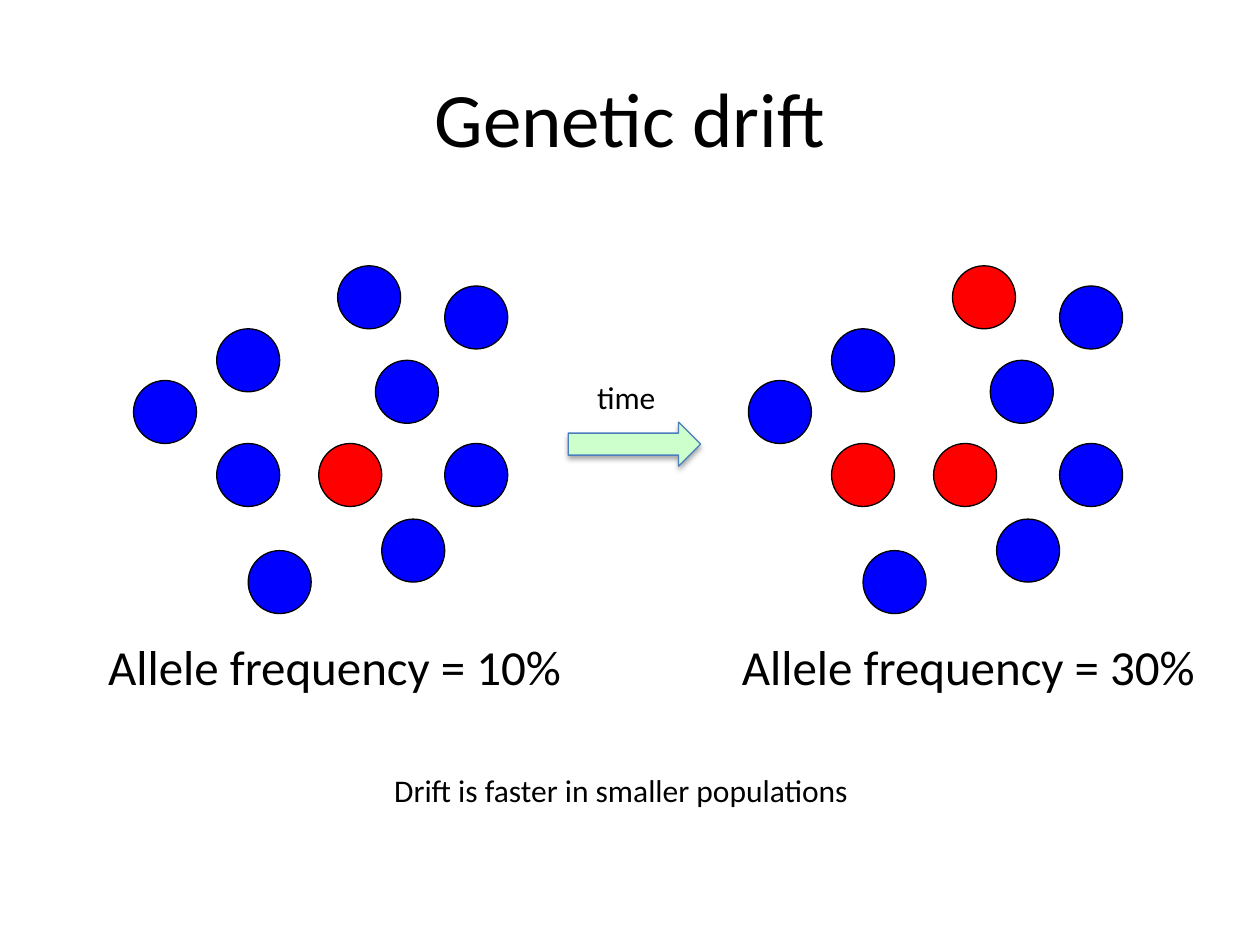
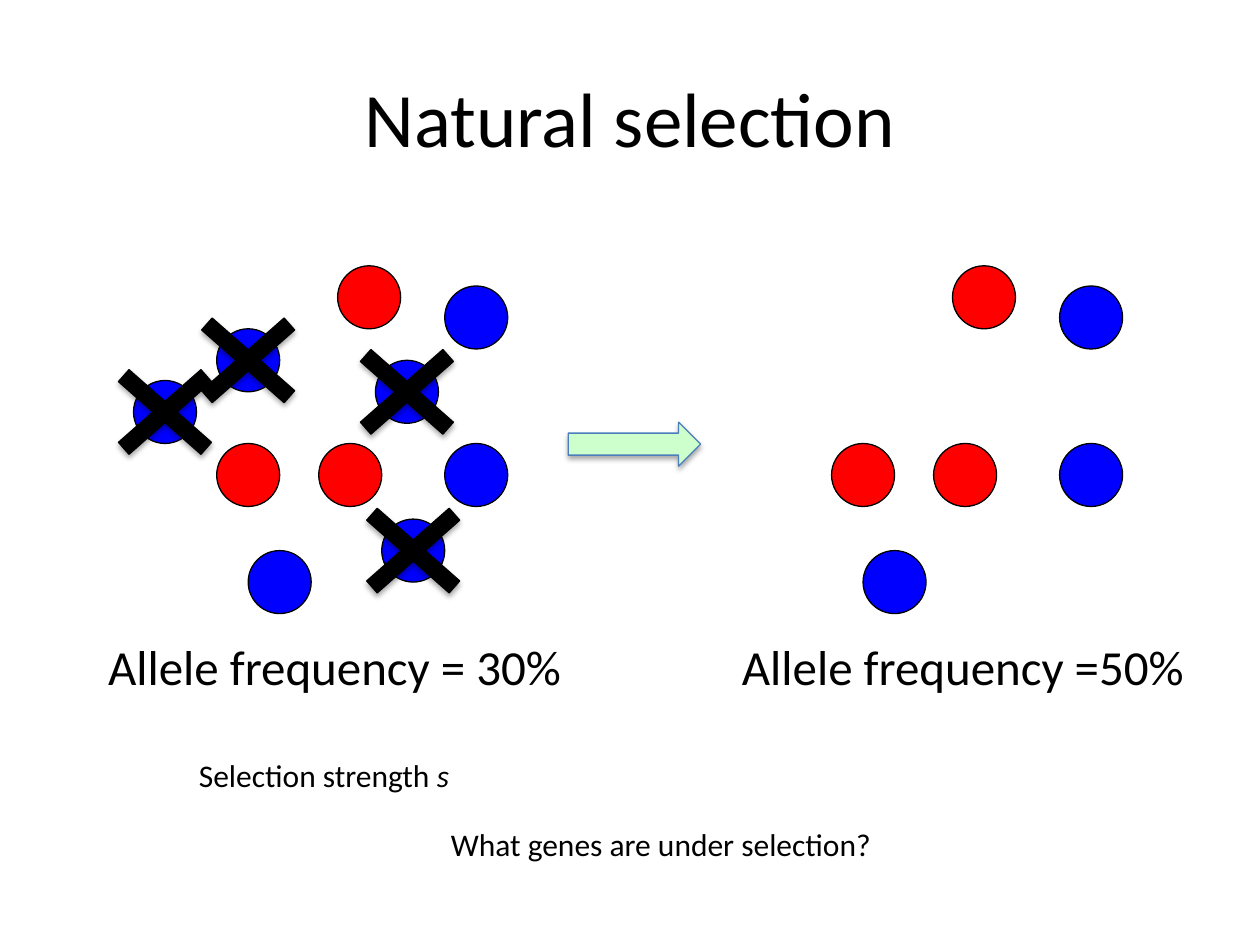
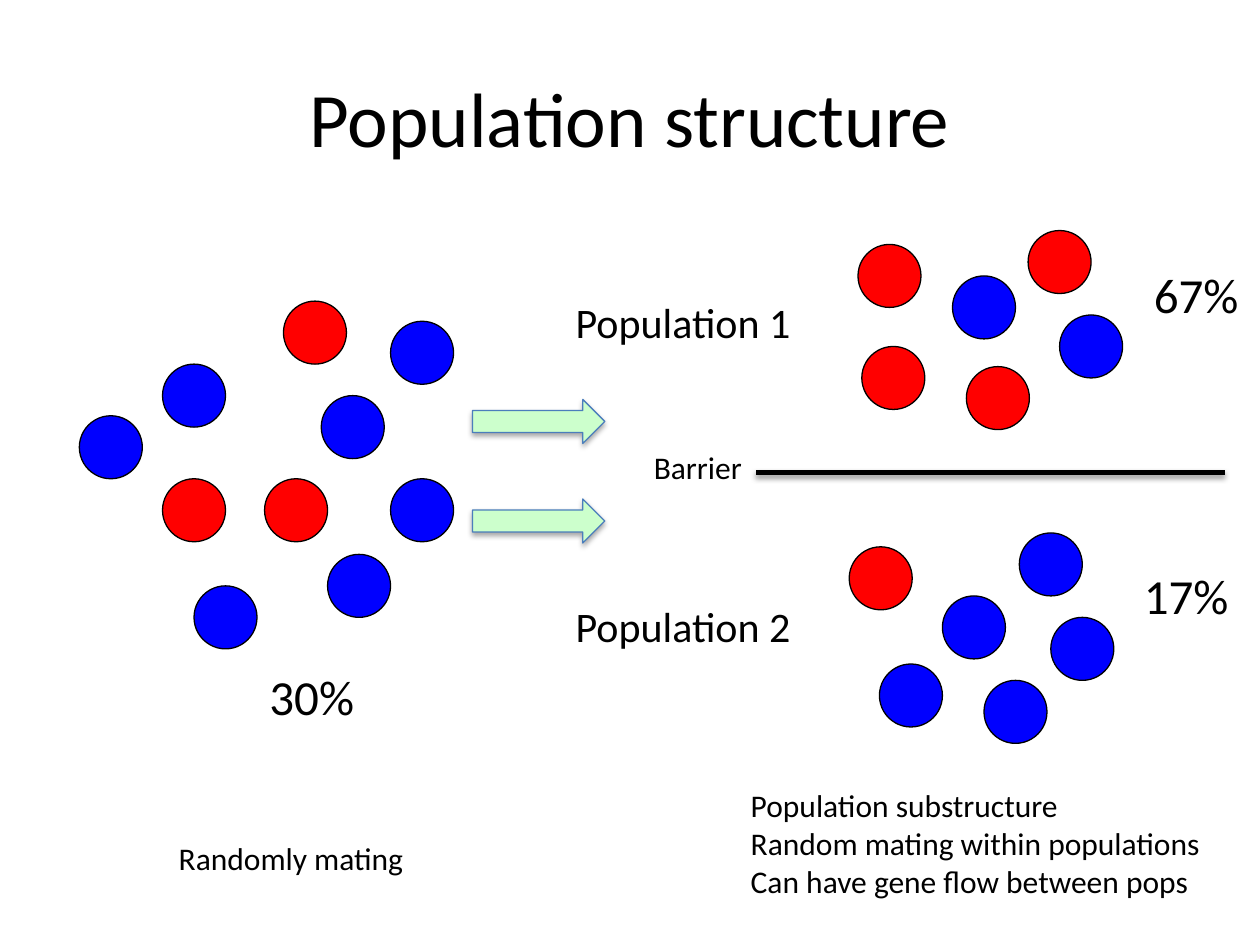
"""Builds three slides on genetic drift, natural selection and population structure."""
from lxml import etree
from pptx import Presentation
from pptx.dml.color import RGBColor
from pptx.enum.shapes import MSO_CONNECTOR, MSO_SHAPE
from pptx.enum.text import MSO_ANCHOR, MSO_AUTO_SIZE, PP_ALIGN
from pptx.oxml.ns import qn
from pptx.util import Inches, Pt

CIRCLE = MSO_SHAPE.FLOWCHART_CONNECTOR
UP_ARROW = MSO_SHAPE.UP_ARROW
CROSS = MSO_SHAPE.MATH_MULTIPLY
STRAIGHT = MSO_CONNECTOR.STRAIGHT
MIDDLE, TOP = MSO_ANCHOR.MIDDLE, MSO_ANCHOR.TOP
CENTER, LEFT = PP_ALIGN.CENTER, PP_ALIGN.LEFT
FIT_TEXT, FIXED = MSO_AUTO_SIZE.SHAPE_TO_FIT_TEXT, MSO_AUTO_SIZE.NONE

FONT = "Calibri"
BLACK, RED, BLUE = "000000", "FF0000", "0000FF"
ARROW_FILL, ARROW_LINE = "CCFFCC", "4B7EBC"
TITLE_SIZE, FREQUENCY_SIZE, POPULATION_SIZE, NOTE_SIZE = 44, 28, 24, 18
DIAMETER = 0.5
AFTER_SHIFT = 4.88
CAPTION_TOP = 5

POPULATION = [
    (1.72, 2.61), (1.06, 3.02), (1.72, 3.52), (2.53, 3.52), (3.53, 3.52),
    (3.53, 2.27), (2.98, 2.86), (2.68, 2.11), (1.97, 4.37), (3.03, 4.12),
]
NEW_MUTANT = {3}
MUTANTS = {2, 3, 7}
UNFIT = {0, 1, 6, 9}
POPULATION_1 = [(6.81, 1.94), (6.84, 2.75), (8.16, 1.83),
                (7.67, 2.91), (8.41, 2.5), (7.56, 2.19)]
POPULATION_2 = [(6.74, 4.34), (7.81, 5.4), (8.09, 4.23),
                (8.34, 4.9), (7.48, 4.73), (6.98, 5.27)]


def color(value):
    """Return the colour for a hex string."""
    return RGBColor.from_string(value)


def add_shadow(shape, opacity):
    """Give a shape a soft shadow that falls straight down."""
    effects = etree.SubElement(shape._element.spPr, qn("a:effectLst"))
    outer = etree.SubElement(effects, qn("a:outerShdw"), blurRad="40000",
                             dist="23000", dir="5400000", rotWithShape="0")
    shade = etree.SubElement(outer, qn("a:srgbClr"), val=BLACK)
    etree.SubElement(shade, qn("a:alpha"), val=str(opacity * 1000))


class Deck:
    """Holds the shared style and the current slide."""

    def __init__(self):
        """Start an empty presentation."""
        self.presentation = Presentation()
        self.presentation.slide_width = Inches(10)
        self.presentation.slide_height = Inches(7.5)
        self.slide = None

    def new_slide(self, title):
        """Add a blank slide with a centred title."""
        layout = self.presentation.slide_layouts[6]
        self.slide = self.presentation.slides.add_slide(layout)
        self.text(0.5, 0.3, 9, [title], TITLE_SIZE, title_height=1.25)

    def text(self, left, top, width, lines, size, italic_end="", title_height=None):
        """Add lines of text, as high as they need unless they are a title."""
        height = title_height or len(lines) * size * 1.22 / 72 + 0.1
        box = self.slide.shapes.add_textbox(
            Inches(left), Inches(top), Inches(width), Inches(height))
        frame = box.text_frame
        frame.word_wrap = bool(title_height)
        frame.auto_size = FIXED if title_height else FIT_TEXT
        frame.vertical_anchor = MIDDLE if title_height else TOP
        frame.text = "\n".join(lines)
        for paragraph in frame.paragraphs:
            paragraph.alignment = CENTER if title_height else LEFT
            paragraph.font.name = FONT
            paragraph.font.size = Pt(size)
            paragraph.font.color.rgb = color(BLACK)
        if italic_end:
            ending = frame.paragraphs[-1].add_run()
            ending.text = italic_end
            ending.font.italic = True

    def shape(self, kind, left, top, width, height, fill, line=BLACK, shadow=False):
        """Add a filled and outlined preset shape."""
        shape = self.slide.shapes.add_shape(
            kind, Inches(left), Inches(top), Inches(width), Inches(height))
        shape.fill.solid()
        shape.fill.fore_color.rgb = color(fill)
        shape.line.color.rgb = color(line)
        shape.line.width = Pt(0.75)
        if shadow:
            add_shadow(shape, 35)
        else:
            shape.shadow.inherit = False
        return shape

    def individuals(self, places, mutants, dx=0, dy=0, missing=()):
        """Add one circle per individual, red for the mutants."""
        for number, (left, top) in enumerate(places):
            if number not in missing:
                self.shape(CIRCLE, left + dx, top + dy, DIAMETER, DIAMETER,
                           RED if number in mutants else BLUE)

    def arrow(self, left, top):
        """Add an arrow that points right."""
        arrow = self.shape(UP_ARROW, left, top, 0.35, 1.05,
                           ARROW_FILL, ARROW_LINE, shadow=True)
        arrow.rotation = 90

    def cross_out(self, left, top):
        """Cross out the individual at a place."""
        width, height = 1.26, 1.11
        cross = self.shape(CROSS, left + (DIAMETER - width) / 2,
                           top + (DIAMETER - height) / 2, width, height,
                           BLACK, shadow=True)
        cross.adjustments[0] = 0.114

    def barrier(self, left, right, y):
        """Add a thick horizontal line."""
        barrier = self.slide.shapes.add_connector(
            STRAIGHT, Inches(left), Inches(y), Inches(right), Inches(y))
        barrier.line.color.rgb = color(BLACK)
        barrier.line.width = Pt(3)
        add_shadow(barrier, 38)

    def frequencies(self, before, after, after_width=3.84):
        """Add the captions below the two populations."""
        for left, width, caption in ((0.76, 3.84, before), (5.79, after_width, after)):
            self.text(left, CAPTION_TOP, width, [caption], FREQUENCY_SIZE)


def genetic_drift(deck):
    """Build the slide on drift."""
    deck.new_slide("Genetic drift")
    deck.individuals(POPULATION, NEW_MUTANT)
    deck.individuals(POPULATION, MUTANTS, dx=AFTER_SHIFT)
    deck.arrow(4.86, 3)
    deck.frequencies("Allele frequency = 10%", "Allele frequency = 30%")
    deck.text(4.64, 2.95, 0.67, ["time"], NOTE_SIZE)
    deck.text(3.03, 6.07, 3.85, ["Drift is faster in smaller populations"], NOTE_SIZE)


def natural_selection(deck):
    """Build the slide on selection."""
    deck.new_slide("Natural selection")
    deck.individuals(POPULATION, MUTANTS)
    deck.individuals(POPULATION, MUTANTS, dx=AFTER_SHIFT, missing=UNFIT)
    deck.arrow(4.86, 3)
    for number in sorted(UNFIT):
        deck.cross_out(*POPULATION[number])
    deck.frequencies("Allele frequency = 30%", "Allele frequency =50%", 3.75)
    deck.text(1.48, 5.95, 2.22, ["Selection strength "], NOTE_SIZE, italic_end="s")
    deck.text(3.48, 6.5, 3.58, ["What genes are under selection?"], NOTE_SIZE)


def population_structure(deck):
    """Build the slide on structure."""
    deck.new_slide("Population structure")
    deck.individuals(POPULATION, MUTANTS, dx=-0.43, dy=0.28)
    deck.individuals(POPULATION_1, {0, 1, 2, 3})
    deck.individuals(POPULATION_2, {0})
    for top in (2.82, 3.61):
        deck.arrow(4.1, top)
    for left, top, share in ((9.06, 2.05, "67%"), (2.04, 5.24, "30%"), (8.98, 4.44, "17%")):
        deck.text(left, top, 0.88, [share], FREQUENCY_SIZE)
    for top, name in ((2.3, "Population 1"), (4.72, "Population 2")):
        deck.text(4.47, top, 1.93, [name], POPULATION_SIZE)
    deck.barrier(6, 9.72, 3.75)
    deck.text(5.09, 3.51, 0.91, ["Barrier"], NOTE_SIZE)
    deck.text(1.32, 6.61, 2, ["Randomly mating"], NOTE_SIZE)
    deck.text(5.86, 6.19, 3.81, ["Population substructure",
                                 "Random mating within populations",
                                 "Can have gene flow between pops"], NOTE_SIZE)


def main():
    """Build and save the deck."""
    deck = Deck()
    genetic_drift(deck)
    natural_selection(deck)
    population_structure(deck)
    deck.presentation.save("out.pptx")


if __name__ == "__main__":
    main()
